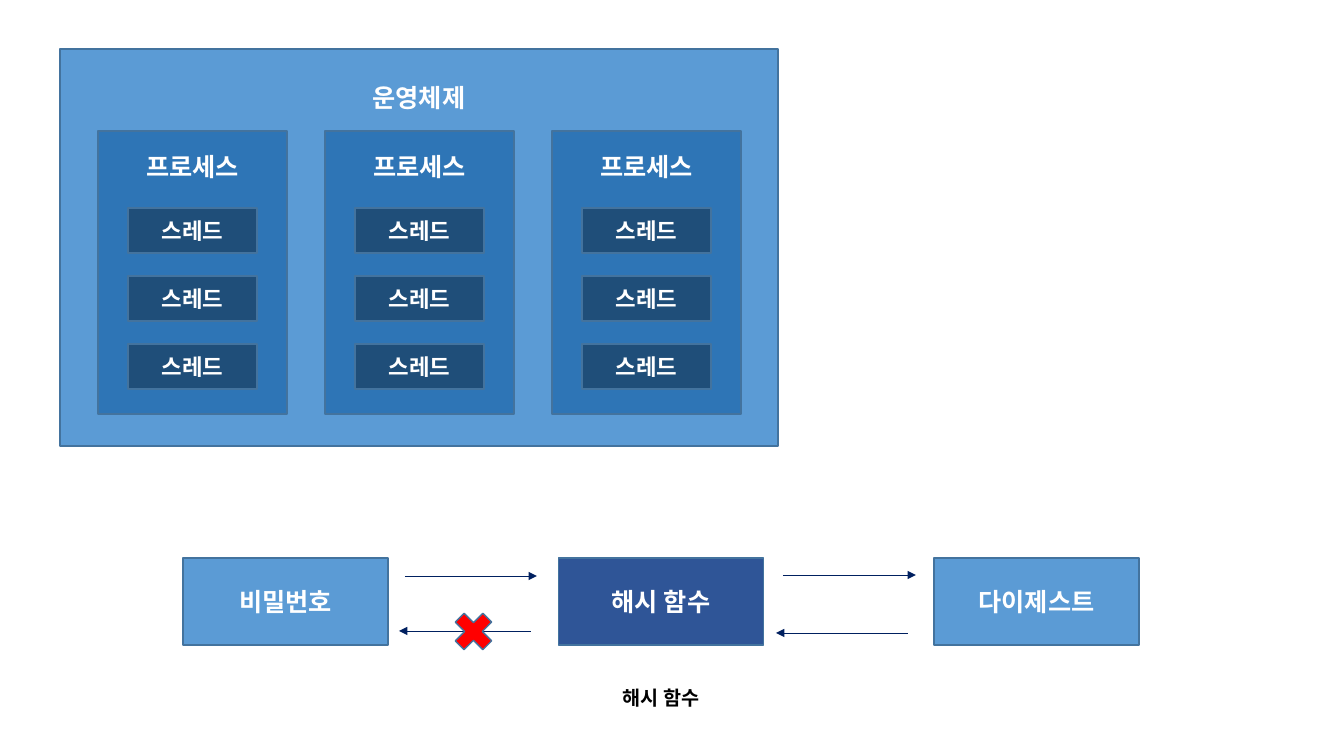
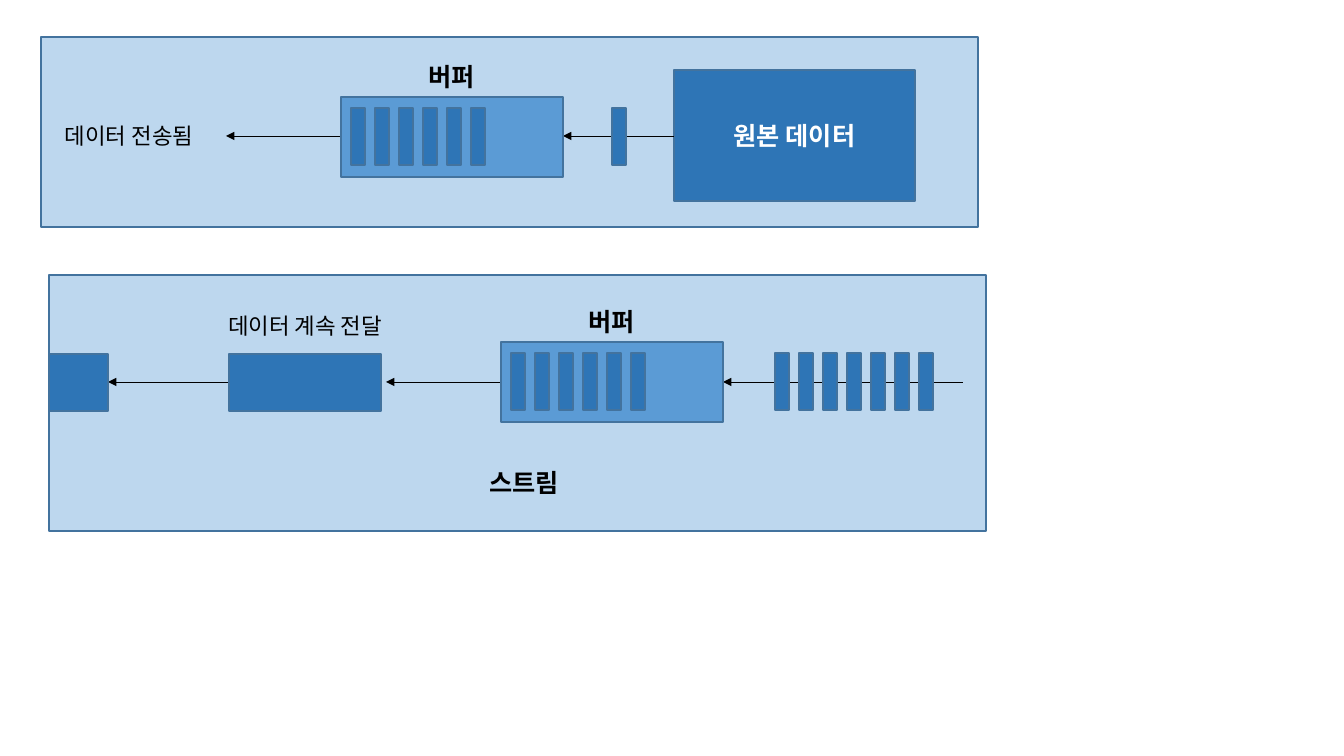
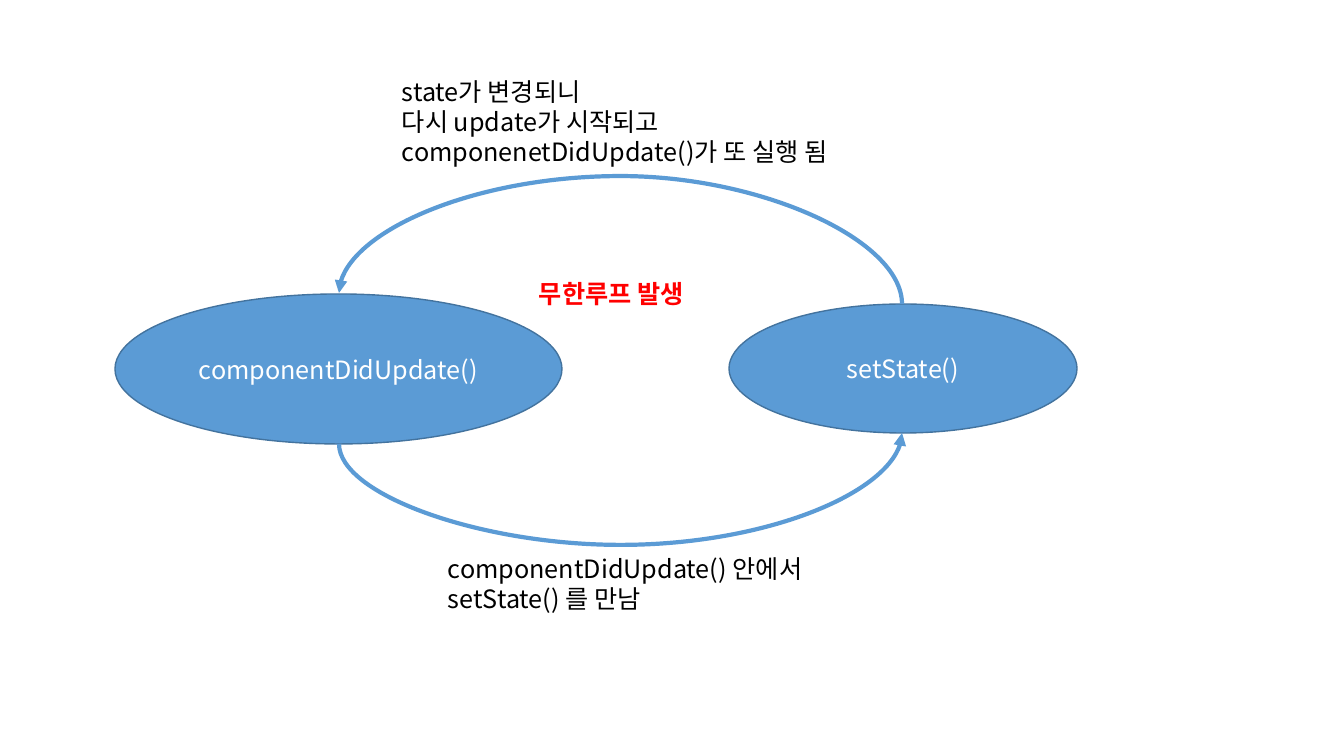
from lxml import etree
from pptx import Presentation
from pptx.dml.color import RGBColor
from pptx.enum.shapes import MSO_CONNECTOR as LINK, MSO_SHAPE as SHAPE
from pptx.enum.text import MSO_ANCHOR as ANCHOR, PP_ALIGN as ALIGN
from pptx.oxml.ns import qn
from pptx.util import Pt

SCALE = 914400 / 100.8
FONT = "Noto Sans CJK KR"
COLORS = {
    "pale": "BDD7EE", "blue": "5B9BD5", "strong": "2E75B6", "dark": "1F4E79",
    "indigo": "2F5597", "edge": "43739E", "navy": "002060",
    "red": "FF0000", "white": "FFFFFF", "black": "000000",
}
COLORS = {name: RGBColor.from_string(code) for name, code in COLORS.items()}


def add_box(page, area, fill=None, text="", size=18, bold=True, color=None,
            kind=SHAPE.RECTANGLE, align=ALIGN.CENTER, title_gap=None):
    """Add a filled shape, or a plain text box when there is no fill."""
    area = [round(value * SCALE) for value in area]
    if fill:
        box = page.shapes.add_shape(kind, *area)
        box.shadow.inherit = False
        box.fill.solid()
        box.fill.fore_color.rgb = COLORS[fill]
        box.line.color.rgb = COLORS["edge"]
        box.line.width = Pt(1)
    else:
        box = page.shapes.add_textbox(*area)
    frame = box.text_frame
    frame.word_wrap = True
    frame.vertical_anchor = ANCHOR.MIDDLE if fill else ANCHOR.TOP
    if title_gap is not None:
        frame.vertical_anchor = ANCHOR.TOP
        frame.margin_top = round(title_gap * SCALE)
    frame.text = text
    for para in frame.paragraphs:
        para.alignment = align
        for span in para.runs:
            span.font.size = Pt(size)
            span.font.bold = bold
            span.font.name = FONT
            span.font.color.rgb = COLORS[color or ("white" if fill else "black")]
            etree.SubElement(span.font._element, qn("a:ea"), typeface=FONT)
    return box


def add_arrow(page, start, end, color="black", width=0.5, kind=LINK.STRAIGHT):
    points = [round(value * SCALE) for value in (*start, *end)]
    arrow = page.shapes.add_connector(kind, *points)
    arrow.line.color.rgb = COLORS[color]
    arrow.line.width = Pt(width)
    etree.SubElement(arrow.line._get_or_add_ln(), qn("a:tailEnd"), type="triangle")
    etree.SubElement(arrow._element.spPr, qn("a:effectLst"))
    return arrow


deck = Presentation()
deck.slide_width, deck.slide_height = round(1344 * SCALE), round(756 * SCALE)
blank = deck.slide_layouts[6]

# Slide 1: operating system with processes and threads
page = deck.slides.add_slide(blank)
add_box(page, (60, 49, 718, 397), "blue", "운영체제", title_gap=33)
for column in range(3):
    left = 98 + 227 * column
    add_box(page, (left, 131, 189, 283), "strong", "프로세스", title_gap=20)
    for row in range(3):
        add_box(page, (left + 30, 208 + 68 * row, 129, 45), "dark", "스레드", size=16)

# Slide 1: hash function
stages = [("비밀번호", "blue"), ("해시 함수", "indigo"), ("다이제스트", "blue")]
for index, (name, fill) in enumerate(stages):
    add_box(page, (183 + 375.5 * index, 558, 205, 87), fill, name)
for start, end, y in [(405, 537, 576), (783, 916, 575), (531, 399, 631), (908, 776, 633)]:
    add_arrow(page, (start, y), (end, y), "navy")
add_box(page, (447, 605, 53, 53), "red", kind=SHAPE.MATH_MULTIPLY)
add_box(page, (545, 681, 232, 34), text="해시 함수", size=14)

# Slide 2: panels and arrows
page = deck.slides.add_slide(blank)
for area in [(41, 37, 937, 190), (49, 275, 937, 256)]:
    add_box(page, area, "pale")
add_box(page, (674, 70, 241, 131), "strong", "원본 데이터")
for start, end, y in [(674, 563, 136), (341, 226, 136), (963, 723, 382),
                      (501, 386, 382), (229, 108, 382)]:
    add_arrow(page, (start, y), (end, y))

# Slide 2: buffers, each with its label
for left, top in [(341, 97), (501, 342)]:
    add_box(page, (left, top, 222, 80), "blue")
    add_box(page, (left + 55, top - 41, 111, 41), text="버퍼")

# Slide 2: data pieces, as rows of (first left, top, count)
for first, top, count in [(351, 108, 6), (612, 108, 1), (511, 353, 6), (775, 353, 7)]:
    for index in range(count):
        add_box(page, (first + 24 * index, top, 14, 57), "strong")
for left, width in [(229, 152), (49, 59)]:
    add_box(page, (left, 354, width, 57), "strong")

# Slide 2: labels
add_box(page, (55, 117, 173, 37), text="데이터 전송됨", size=16, bold=False, align=ALIGN.LEFT)
add_box(page, (201, 307, 208, 37), text="데이터 계속 전달", size=16, bold=False)
add_box(page, (465, 462, 118, 41), text="스트림")

# Slide 3: the two calls
page = deck.slides.add_slide(blank)
for area, name in [((115, 294, 447, 150), "componentDidUpdate()"),
                   ((729, 304, 348, 129), "setState()")]:
    add_box(page, area, "blue", name, bold=False, kind=SHAPE.OVAL)

# Slide 3: curved arrows, each with its turn in degrees and its bulge
for start, end, turn, bulge in [((615, 580), (626, 17), 270, 128),
                                ((626, 720), (615, 157), 90, -101)]:
    curve = add_arrow(page, start, end, "blue", 3, LINK.CURVE)
    properties = curve._element.spPr
    properties.find(qn("a:xfrm")).set("rot", str(turn * 60000))
    guides = properties.find(qn("a:prstGeom")).find(qn("a:avLst"))
    ratio = round(bulge / abs(end[0] - start[0]) * 100000)
    etree.SubElement(guides, qn("a:gd"), name="adj1", fmla=f"val {ratio}")

# Slide 3: explanations
for area, text in [
    ((438, 548, 601, 72), "componentDidUpdate() 안에서\nsetState() 를 만남"),
    ((392, 71, 510, 102),
     "state가 변경되니\n다시 update가 시작되고\ncomponenetDidUpdate()가 또 실행 됨"),
]:
    add_box(page, area, text=text, bold=False, align=ALIGN.LEFT)
warning = add_box(page, (529, 273, 182, 40), text="무한루프 발생", color="red", align=ALIGN.LEFT)
warning.text_frame.word_wrap = False

deck.save("out.pptx")
